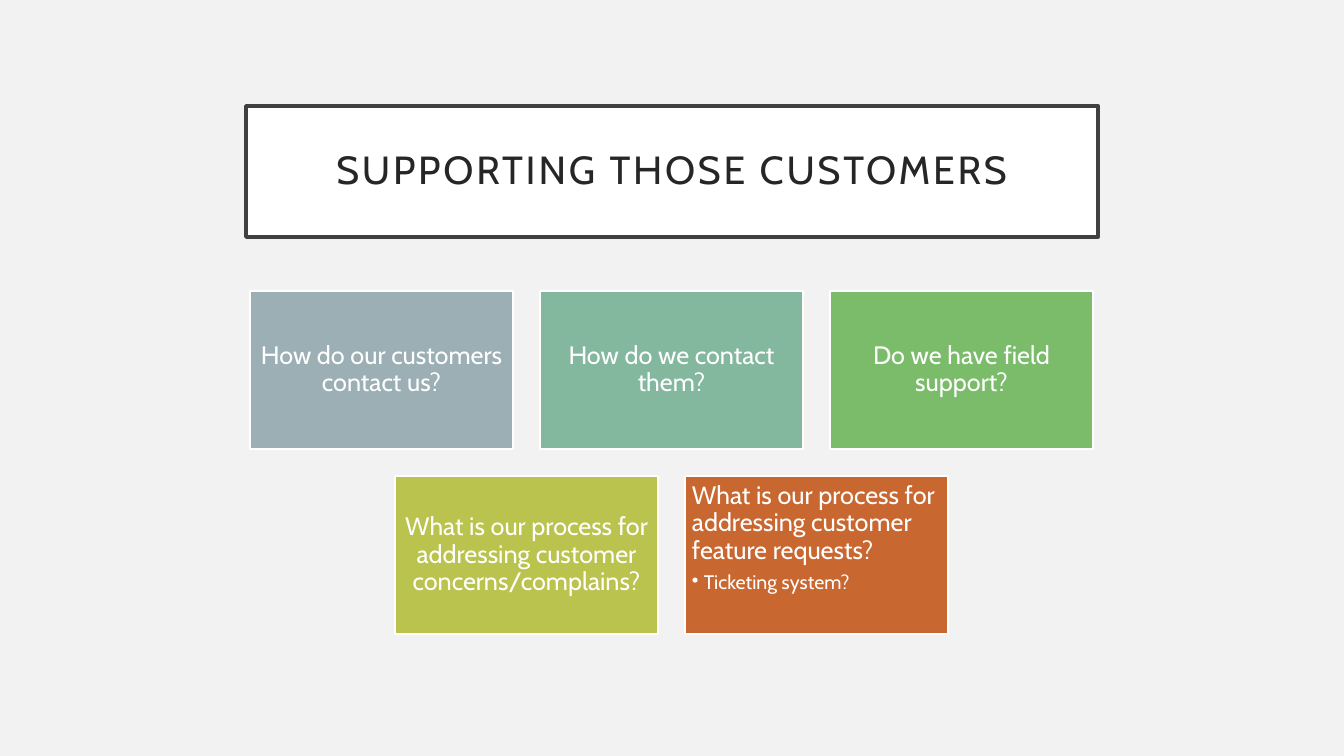
from pptx import Presentation
from pptx.dml.color import RGBColor
from pptx.enum.shapes import MSO_SHAPE
from pptx.enum.text import MSO_ANCHOR, PP_ALIGN
from pptx.util import Emu, Pt
from lxml import etree

RECT = MSO_SHAPE.RECTANGLE
TOP, MIDDLE = MSO_ANCHOR.TOP, MSO_ANCHOR.MIDDLE
LEFT, CENTER = PP_ALIGN.LEFT, PP_ALIGN.CENTER

PAPER = RGBColor(0xF2, 0xF2, 0xF2)
WHITE = RGBColor(0xFF, 0xFF, 0xFF)
FRAME = RGBColor(0x40, 0x40, 0x40)
INK = RGBColor(0x26, 0x26, 0x26)
SLATE = RGBColor(0x9B, 0xAF, 0xB5)
TEAL = RGBColor(0x83, 0xB7, 0x9E)
GREEN = RGBColor(0x7A, 0xBC, 0x69)
LIME = RGBColor(0xBA, 0xC3, 0x4D)
RUST = RGBColor(0xC9, 0x67, 0x31)

FONT = "Cabin"
GAP = 27
INDENT = 12

# Each row: (fill, question, sub-points)
ROWS = [
    [(SLATE, "How do our customers contact us?", []),
     (TEAL, "How do we contact them?", []),
     (GREEN, "Do we have field support?", [])],
    [(LIME, "What is our process for addressing customer concerns/complains?", []),
     (RUST, "What is our process for addressing customer feature requests?",
      ["Ticketing system?"])],
]


def px(n):
    return Emu(round(n * 914400 / 100.8))


def add_box(slide, box, fill, edge, width, pad, anchor):
    shape = slide.shapes.add_shape(RECT, *map(px, box))
    shape.shadow.inherit = False
    shape.fill.solid()
    shape.fill.fore_color.rgb = fill
    shape.line.color.rgb = edge
    shape.line.width = Pt(width)
    frame = shape.text_frame
    frame.word_wrap = True
    frame.vertical_anchor = anchor
    frame.margin_left = frame.margin_right = px(pad)
    frame.margin_top = frame.margin_bottom = px(pad)
    return frame


def set_text(para, text, size, color, align, after=0):
    para.text = text
    para.alignment = align
    para.line_spacing = 0.9
    para.space_after = Pt(after)
    para.font.name = FONT
    para.font.size = Pt(size)
    para.font.color.rgb = color


def add_bullet(para):
    props = para._p.get_or_add_pPr()
    props.set("marL", str(px(INDENT)))
    props.set("indent", str(-px(INDENT)))
    space = "{http://schemas.openxmlformats.org/drawingml/2006/main}"
    etree.SubElement(props, space + "buChar").set("char", "•")


def add_title(slide, box, text):
    frame = add_box(slide, box, WHITE, FRAME, 2.5, 20, MIDDLE)
    para = frame.paragraphs[0]
    set_text(para, text, 28, INK, CENTER)
    para.runs[0].font._element.set("spc", "200")


def add_card(slide, box, fill, text, points):
    # Cards with sub-points read from the top left
    anchor, align = (TOP, LEFT) if points else (MIDDLE, CENTER)
    frame = add_box(slide, box, fill, WHITE, 1, 7, anchor)
    set_text(frame.paragraphs[0], text, 18, WHITE, align, 6)
    for point in points:
        para = frame.add_paragraph()
        add_bullet(para)
        set_text(para, point, 14, WHITE, align, 2)


def add_cards(slide, box, rows):
    left, top, width, height = box
    most = max(len(row) for row in rows)
    wide = (width - GAP * (most - 1)) / most
    high = (height - GAP * (len(rows) - 1)) / len(rows)
    for i, row in enumerate(rows):
        # Centre a shorter row under the full one
        start = left + (most - len(row)) * (wide + GAP) / 2
        for j, card in enumerate(row):
            spot = (start + j * (wide + GAP), top + i * (high + GAP), wide, high)
            add_card(slide, spot, *card)


def main():
    deck = Presentation()
    deck.slide_width, deck.slide_height = px(1344), px(756)
    slide = deck.slides.add_slide(deck.slide_layouts[6])
    slide.background.fill.solid()
    slide.background.fill.fore_color.rgb = PAPER

    add_title(slide, (246, 106, 852, 131), "SUPPORTING THOSE CUSTOMERS")
    add_cards(slide, (250, 291, 843, 343), ROWS)
    deck.save("out.pptx")


if __name__ == "__main__":
    main()
